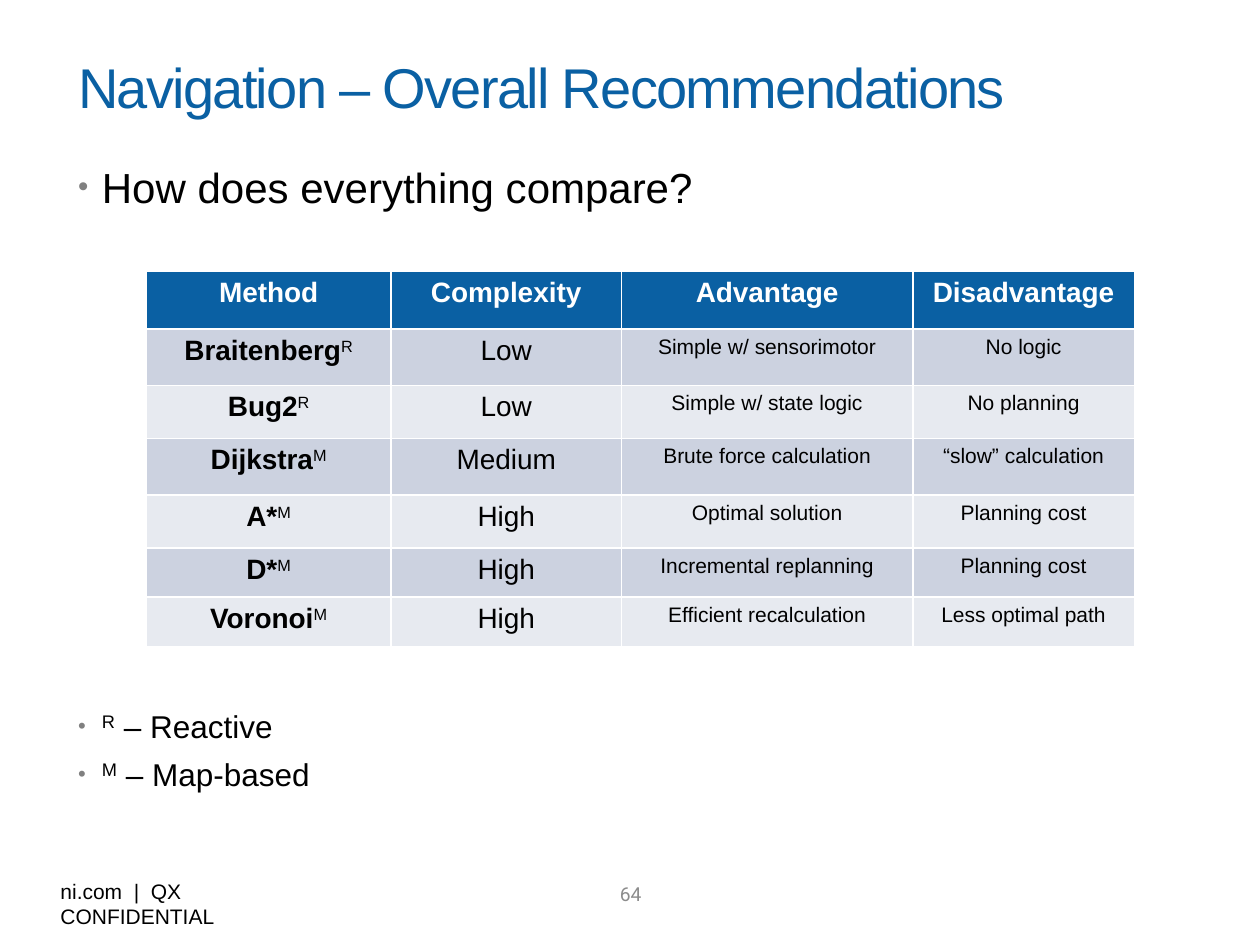
from lxml import etree
from pptx import Presentation
from pptx import util as u
from pptx.dml.color import RGBColor
from pptx.enum import text
from pptx.oxml.ns import qn

BLUE = RGBColor(0x0A, 0x60, 0xA3)
BAND_DARK = RGBColor(0xCC, 0xD2, 0xE0)
BAND_LIGHT = RGBColor(0xE7, 0xEA, 0xF0)
BLACK = RGBColor(0, 0, 0)
WHITE = RGBColor(0xFF, 0xFF, 0xFF)
GRAY = RGBColor(0x8C, 0x8C, 0x8C)
BULLET_GRAY = "808080"


def set_font(paragraph, size, color, name="Arial"):
    paragraph.font.size = u.Pt(size)
    paragraph.font.name = name
    paragraph.font.color.rgb = color


def add_run(paragraph, words, bold=False, raised=False):
    run = paragraph.add_run()
    run.text = words
    run.font.bold = bold
    if raised:
        run._r.get_or_add_rPr().set("baseline", "30000")


prs = Presentation()
prs.slide_width, prs.slide_height = u.Cm(25.4), u.Cm(19.05)
slide = prs.slides.add_slide(prs.slide_layouts[1])

# Title
title = slide.shapes.title
title.left, title.top, title.width, title.height = u.Cm(1.32), u.Cm(0.41), u.Cm(22.68), u.Cm(2.67)
title.text_frame.vertical_anchor = text.MSO_ANCHOR.MIDDLE
title.text_frame.auto_size = text.MSO_AUTO_SIZE.NONE
heading = title.text_frame.paragraphs[0]
heading.alignment = text.PP_ALIGN.LEFT
add_run(heading, "Navigation – Overall Recommendations")
heading.runs[0]._r.get_or_add_rPr().set("spc", "-100")
set_font(heading, 32, BLUE)

# Question above the table, legend below it: raised mark, words, size, space before
points = [
    ("", "How does everything compare?", 24, 0),
    ("R", " – Reactive", 18, 283),
    ("M", " – Map-based", 18, 5.7),
]
body = slide.placeholders[1]
body.left, body.top, body.width, body.height = u.Cm(1.32), u.Cm(3.12), u.Cm(22.68), u.Cm(13.74)
body.text_frame.auto_size = text.MSO_AUTO_SIZE.NONE
for i, (mark, words, size, gap) in enumerate(points):
    point = body.text_frame.add_paragraph() if i else body.text_frame.paragraphs[0]
    if mark:
        add_run(point, mark, raised=True)
    add_run(point, words)
    point.space_before = u.Pt(gap)
    props = point._p.get_or_add_pPr()
    props.set("marL", str(u.Cm(0.48)))
    props.set("indent", str(-u.Cm(0.48)))
    bullet_color = etree.SubElement(props, qn("a:buClr"))
    etree.SubElement(bullet_color, qn("a:srgbClr"), val=BULLET_GRAY)
    etree.SubElement(props, qn("a:buSzPct"), val="70000")
    etree.SubElement(props, qn("a:buChar"), char="•")
    set_font(point, size, BLACK)

# Comparison table: the default style draws the white rules
headers = ["Method", "Complexity", "Advantage", "Disadvantage"]
methods = [
    ("Braitenberg", "R", "Low", "Simple w/ sensorimotor", "No logic"),
    ("Bug2", "R", "Low", "Simple w/ state logic", "No planning"),
    ("Dijkstra", "M", "Medium", "Brute force calculation", "“slow” calculation"),
    ("A*", "M", "High", "Optimal solution", "Planning cost"),
    ("D*", "M", "High", "Incremental replanning", "Planning cost"),
    ("Voronoi", "M", "High", "Efficient recalculation", "Less optimal path"),
]
col_widths = [4.93, 4.65, 5.87, 4.47]
row_heights = [1.17, 1.14, 1.07, 1.14, 1.07, 0.99, 0.99]
table = slide.shapes.add_table(
    len(row_heights), len(col_widths), u.Cm(2.95), u.Cm(5.46),
    u.Cm(sum(col_widths)), u.Cm(sum(row_heights))).table
for column, width in zip(table.columns, col_widths):
    column.width = u.Cm(width)
for row, height in zip(table.rows, row_heights):
    row.height = u.Cm(height)

for c, header in enumerate(headers):
    cell = table.cell(0, c)
    cell.fill.solid()
    cell.fill.fore_color.rgb = BLUE
    label = cell.text_frame.paragraphs[0]
    label.alignment = text.PP_ALIGN.CENTER
    add_run(label, header, bold=True)
    set_font(label, 16, WHITE)

for r, (method, kind, *ratings) in enumerate(methods, start=1):
    for c, words in enumerate([method, *ratings]):
        cell = table.cell(r, c)
        cell.fill.solid()
        cell.fill.fore_color.rgb = BAND_DARK if r % 2 else BAND_LIGHT
        entry = cell.text_frame.paragraphs[0]
        entry.alignment = text.PP_ALIGN.CENTER
        add_run(entry, words, bold=c == 0)
        if c == 0:
            add_run(entry, kind, raised=True)
        set_font(entry, 16 if c < 2 else 12, BLACK)

# Footer and page number
footer = slide.shapes.add_textbox(u.Cm(0.97), u.Cm(17.58), u.Cm(6.02), u.Cm(0.76))
footer.text_frame.word_wrap = False
notice = footer.text_frame.paragraphs[0]
add_run(notice, "ni.com  |  QX CONFIDENTIAL")
set_font(notice, 12, BLACK)

page = slide.shapes.add_textbox(u.Cm(12.22), u.Cm(17.63), u.Cm(0.99), u.Cm(0.76))
page.text_frame.word_wrap = True
page.text_frame.vertical_anchor = text.MSO_ANCHOR.MIDDLE
number = page.text_frame.paragraphs[0]
number.alignment = text.PP_ALIGN.CENTER
add_run(number, "64")
set_font(number, 11, GRAY, "Roboto")

prs.save("out.pptx")
